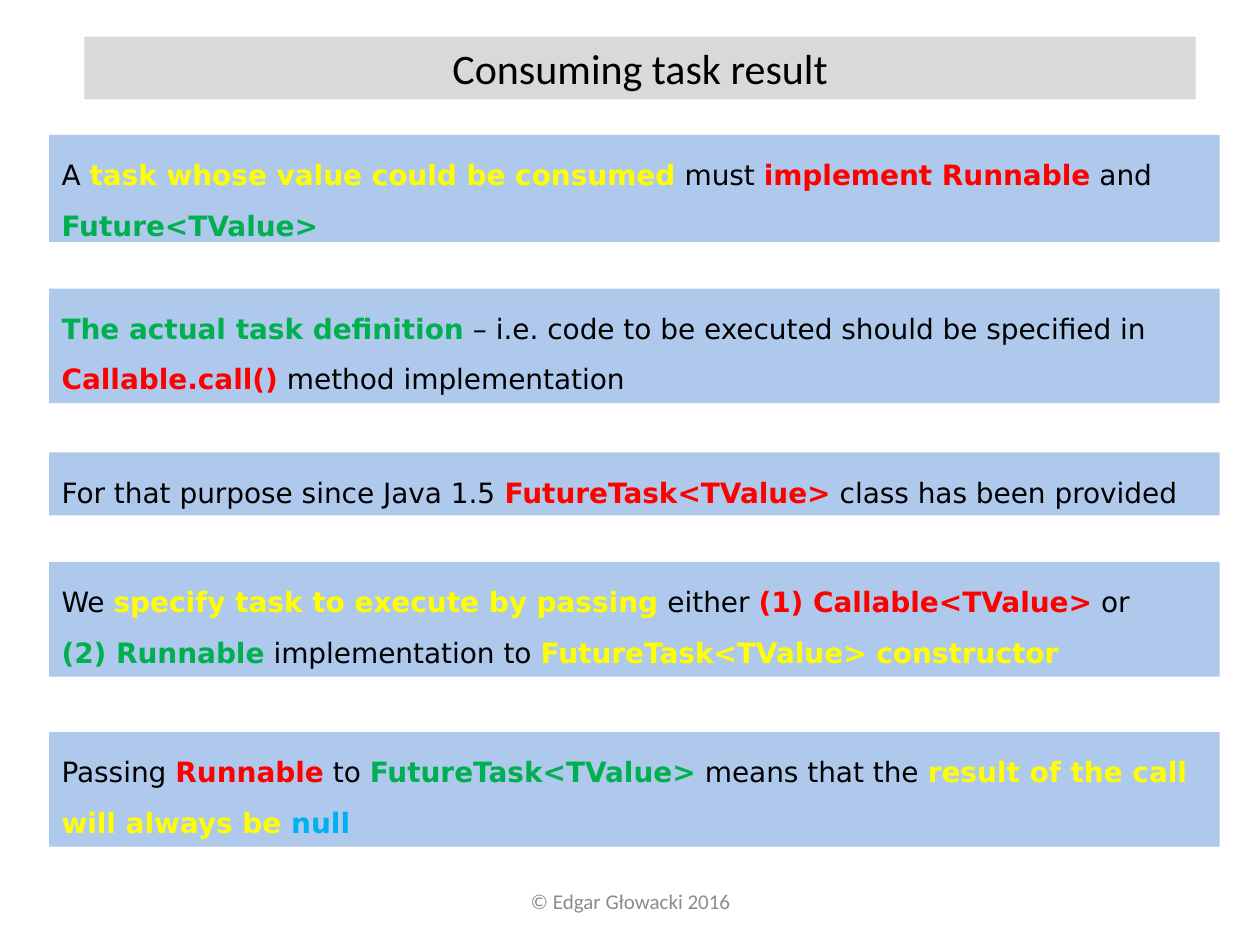
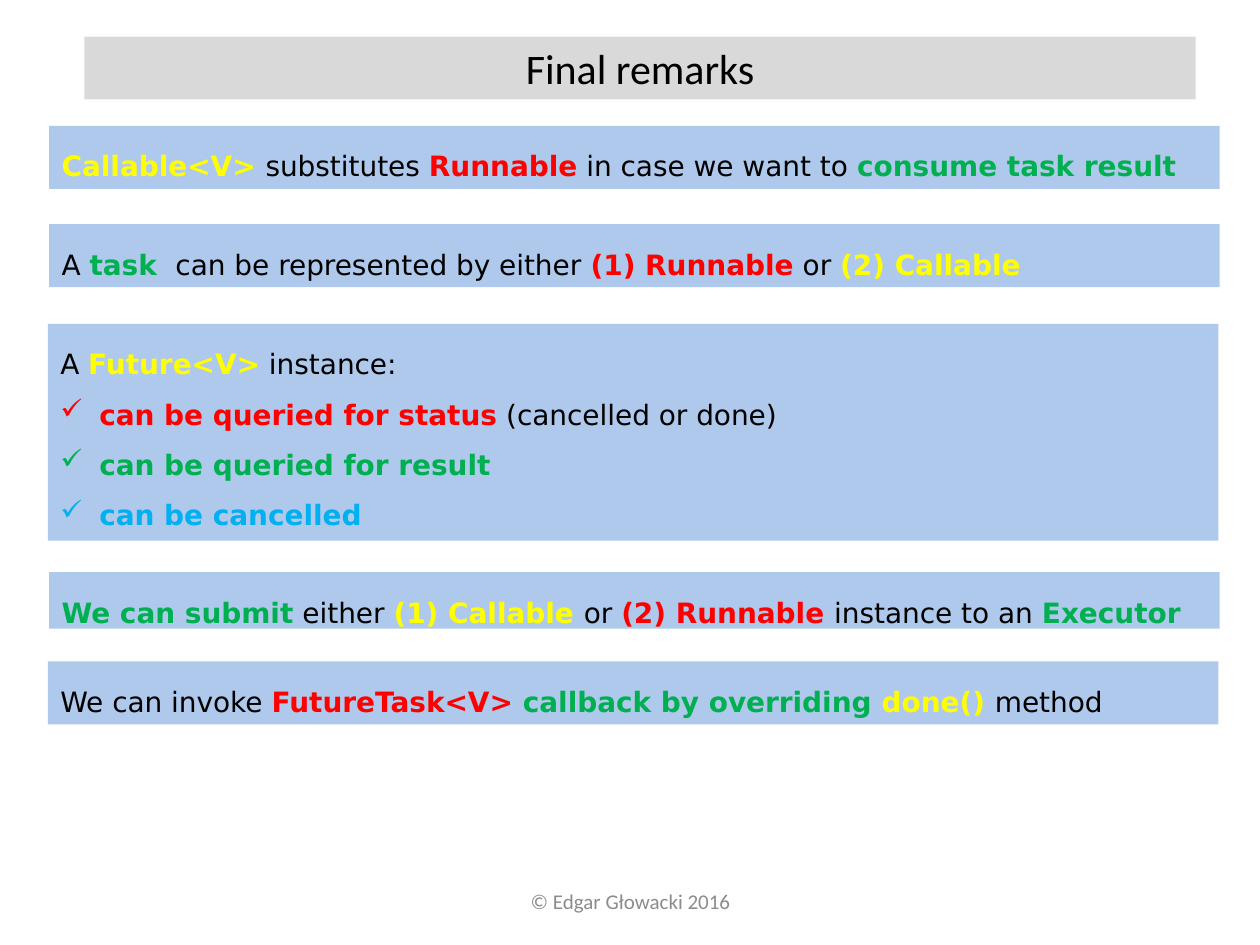
import pptx
import pptx.dml.color
import pptx.enum.shapes
import pptx.enum.text
import pptx.oxml
import pptx.oxml.ns
import pptx.util

RGB = pptx.dml.color.RGBColor
BLACK = RGB(0x00, 0x00, 0x00)
RED = RGB(0xFF, 0x00, 0x00)
GREEN = RGB(0x00, 0xB0, 0x50)
YELLOW = RGB(0xFF, 0xFF, 0x00)
CYAN = RGB(0x00, 0xB0, 0xF0)
TITLE_FILL = RGB(0xD9, 0xD9, 0xD9)
PANEL_FILL = RGB(0x8E, 0xB4, 0xE3)
FOOTER_GREY = RGB(0x8C, 0x8C, 0x8C)

COLUMNS, ROWS = 100, 75
ALIGN = pptx.enum.text.PP_ALIGN
ANCHOR = pptx.enum.text.MSO_ANCHOR


def xml(tag, attributes):
    return pptx.oxml.parse_xml(f"<a:{tag} {pptx.oxml.ns.nsdecls('a')} {attributes}/>")


class Deck:
    """Holds the style and the current slide; places are in grid units."""
    title_font, body_font = "Calibri", "DejaVu Sans"
    panel_left, panel_width = 3.9, 92.9

    def __init__(self):
        self.file = pptx.Presentation()
        self.file.slide_width = pptx.util.Inches(10)
        self.file.slide_height = pptx.util.Inches(7.5)
        self.slide = None

    def place(self, left, top, width, height):
        column = self.file.slide_width / COLUMNS
        row = self.file.slide_height / ROWS
        return [round(n) for n in (left * column, top * row, width * column, height * row)]

    def add_text(self, paragraph, text, font, size, color, bold=False):
        run = paragraph.add_run()
        run.text = text
        run.font.name = font
        run.font.size = pptx.util.Pt(size)
        run.font.bold = bold
        run.font.color.rgb = color

    def band(self, place, color):
        shape = self.slide.shapes.add_shape(
            pptx.enum.shapes.MSO_SHAPE.RECTANGLE, *self.place(*place))
        shape.shadow.inherit = False
        shape.fill.solid()
        shape.fill.fore_color.rgb = color
        shape.line.fill.background()
        shape.text_frame.word_wrap = True
        shape.text_frame.vertical_anchor = ANCHOR.TOP
        return shape

    def start(self, title):
        self.slide = self.file.slides.add_slide(self.file.slide_layouts[6])
        self.footer("© Edgar Głowacki 2016")
        heading = self.band((6.7, 2.9, 88.2, 5), TITLE_FILL).text_frame.paragraphs[0]
        heading.alignment = ALIGN.CENTER
        self.add_text(heading, title, self.title_font, 24, BLACK)

    def footer(self, text):
        frame = self.slide.shapes.add_textbox(*self.place(34.2, 69.5, 31.7, 4)).text_frame
        frame.word_wrap = True
        frame.vertical_anchor = ANCHOR.MIDDLE
        frame.paragraphs[0].alignment = ALIGN.CENTER
        self.add_text(frame.paragraphs[0], text, self.title_font, 12, FOOTER_GREY)

    def panel(self, top, height, lines, shift=0):
        """Each line is a list of (text, colour); black is plain, colours are bold."""
        place = (self.panel_left + shift, top, self.panel_width, height)
        shape = self.band(place, PANEL_FILL)
        fill = shape.element.spPr.find(pptx.oxml.ns.qn("a:solidFill"))
        fill[0].append(xml("alpha", 'val="71000"'))
        frame = shape.text_frame
        for number, line in enumerate(lines):
            paragraph = frame.add_paragraph() if number else frame.paragraphs[0]
            if number and len(lines) > 2:
                self.check_mark(paragraph)
            paragraph.alignment = ALIGN.LEFT
            paragraph.line_spacing = 1.5
            for text, color in line:
                self.add_text(paragraph, text, self.body_font, 16, color, color != BLACK)

    def check_mark(self, paragraph):
        properties = paragraph._p.get_or_add_pPr()
        indent = pptx.util.Inches(0.31)
        properties.set("marL", str(indent))
        properties.set("indent", str(-indent))
        properties.append(xml("buChar", 'char="✓"'))


def consuming_result(deck):
    deck.start("Consuming task result")
    deck.panel(10.7, 8.5, [[
        ("A ", BLACK), ("task whose value could be consumed", YELLOW), (" must ", BLACK),
        ("implement Runnable", RED), (" and ", BLACK), ("Future<TValue>", GREEN)]])
    deck.panel(22.9, 9.1, [[
        ("The actual task definition", GREEN),
        (" – i.e. code to be executed should be specified in ", BLACK),
        ("Callable.call()", RED), (" method implementation", BLACK)]])
    deck.panel(35.9, 5, [[
        ("For that purpose since Java 1.5 ", BLACK), ("FutureTask<TValue>", RED),
        (" class has been provided", BLACK)]])
    deck.panel(44.6, 9.1, [
        [("We ", BLACK), ("specify task to execute by passing", YELLOW),
         (" either ", BLACK), ("(1) Callable<TValue>", RED), (" or", BLACK)],
        [("(2) Runnable", GREEN), (" implementation to ", BLACK),
         ("FutureTask<TValue> constructor", YELLOW)]])
    deck.panel(58.1, 9.1, [[
        ("Passing ", BLACK), ("Runnable", RED), (" to ", BLACK),
        ("FutureTask<TValue>", GREEN), (" means that the ", BLACK),
        ("result of the call will always be ", YELLOW), ("null", CYAN)]])


def final_remarks(deck):
    deck.start("Final remarks")
    deck.panel(10, 5, [[
        ("Callable<V> ", YELLOW), ("substitutes ", BLACK), ("Runnable", RED),
        (" in case we want to ", BLACK), ("consume task result", GREEN)]])
    deck.panel(17.8, 5, [[
        ("A ", BLACK), ("task ", GREEN), (" can be represented by either ", BLACK),
        ("(1) Runnable", RED), (" or ", BLACK), ("(2) Callable", YELLOW)]])
    deck.panel(25.7, 17.2, [
        [("A ", BLACK), ("Future<V>", YELLOW), (" instance:", BLACK)],
        [("can be queried for status", RED), (" (cancelled or done)", BLACK)],
        [("can be queried for result", GREEN)],
        [("can be cancelled", CYAN)]], shift=-0.1)
    deck.panel(45.4, 4.5, [[
        ("We can submit", GREEN), (" either ", BLACK), ("(1) Callable ", YELLOW),
        ("or ", BLACK), ("(2) Runnable ", RED), ("instance to an ", BLACK),
        ("Executor", GREEN)]])
    deck.panel(52.5, 5, [[
        ("We can invoke ", BLACK), ("FutureTask<V> ", RED),
        ("callback by overriding ", GREEN), ("done() ", YELLOW),
        ("method", BLACK)]], shift=-0.1)


def main():
    deck = Deck()
    consuming_result(deck)
    final_remarks(deck)
    deck.file.save("out.pptx")


if __name__ == "__main__":
    main()
